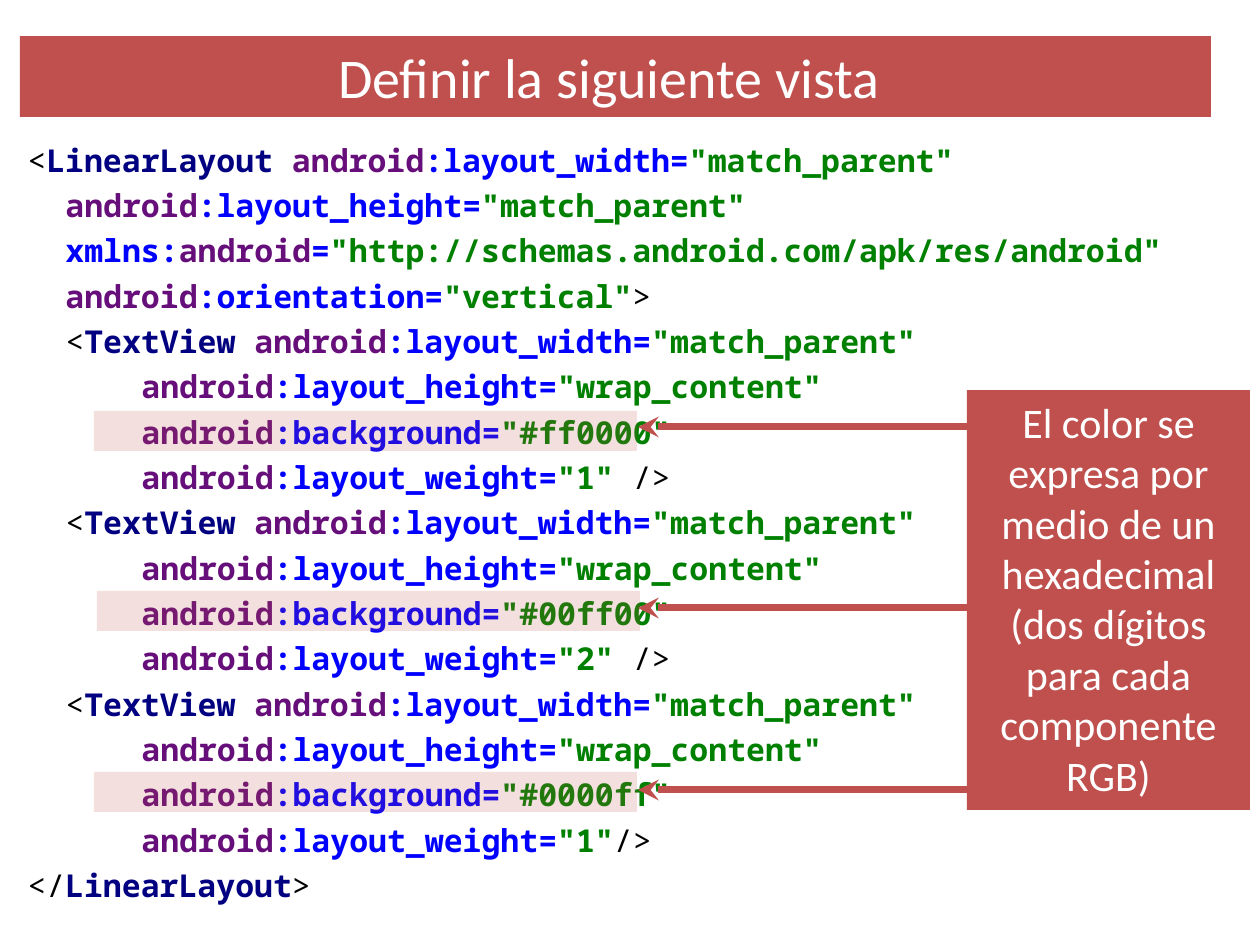
from lxml import etree
from pptx import Presentation
from pptx import util as u
from pptx.dml.color import RGBColor
from pptx.enum import shapes, text
from pptx.oxml import ns

PX = 914400 // 126
COLORS = {
    "red": "C0504D", "white": "FFFFFF", "plain": "000000", "tag": "000080",
    "prefix": "660E7A", "name": "0000FF", "value": "008000",
}

deck = Presentation()
deck.slide_width, deck.slide_height = 1260 * PX, 945 * PX
slide = deck.slides.add_slide(deck.slide_layouts[6])


def add_box(left, top, width, height, color):
    box = slide.shapes.add_shape(
        shapes.MSO_SHAPE.RECTANGLE, left * PX, top * PX, width * PX, height * PX)
    box.shadow.inherit = False
    box.fill.solid()
    box.fill.fore_color.rgb = RGBColor.from_string(COLORS[color])
    box.line.fill.background()
    box.text_frame.word_wrap = True
    box.text_frame.vertical_anchor = text.MSO_ANCHOR.TOP
    return box


def add_run(paragraph, words, size, font, color, bold=False):
    run = paragraph.add_run()
    run.text = words
    run.font.size = u.Pt(size)
    run.font.name = font
    run.font.bold = bold
    run.font.color.rgb = RGBColor.from_string(COLORS[color])


def_width = ("layout_width", "match_parent")
code_lines = [
    (0, "<", "LinearLayout ", "android", *def_width, ""),
    (2, "", "", "android", "layout_height", "match_parent", ""),
    (2, "", "", "xmlns", "android", "http://schemas.android.com/apk/res/android", ""),
    (2, "", "", "android", "orientation", "vertical", ">"),
]
views = [("#ff0000", "1", " />"), ("#00ff00", "2", " />"), ("#0000ff", "1", "/>")]
for background, weight, ending in views:
    code_lines += [
        (2, "<", "TextView ", "android", *def_width, ""),
        (6, "", "", "android", "layout_height", "wrap_content", ""),
        (6, "", "", "android", "background", background, ""),
        (6, "", "", "android", "layout_weight", weight, ending),
    ]
code_lines.append((0, "</", "LinearLayout", "", "", "", ">"))

title = add_box(20, 36, 1191, 81, "red").text_frame.paragraphs[0]
title.alignment = text.PP_ALIGN.CENTER
add_run(title, "Definir la siguiente vista ", 32, "Calibri", "white")

code = add_box(15, 125, 1245, 787, "white").text_frame
code.vertical_anchor = text.MSO_ANCHOR.MIDDLE
for number, (indent, opening, tag, prefix, name, value, ending) in enumerate(code_lines):
    line = code.add_paragraph() if number else code.paragraphs[0]
    line.alignment = text.PP_ALIGN.LEFT
    line.line_spacing = 1.2
    line._p.get_or_add_pPr().set("marL", str(indent * 19 * PX))
    parts = [(opening, "plain"), (tag, "tag")]
    if prefix == "xmlns":
        parts += [("xmlns:", "name"), (name, "prefix"), ("=", "name")]
    elif prefix:
        parts += [(prefix, "prefix"), (f":{name}=", "name")]
    if value:
        parts.append((f'"{value}"', "value"))
    parts.append((ending, "plain"))
    for words, color in parts:
        if words:
            add_run(line, words, 18, "Noto Sans Mono", color, color != "plain")

callout = add_box(967, 390, 283, 420, "red").text_frame.paragraphs[0]
callout.alignment = text.PP_ALIGN.CENTER
add_run(callout, "El color se expresa por medio de un hexadecimal "
        "(dos dígitos para cada componente RGB)", 24, "Calibri", "white")

for arrow_y in (427, 608, 790):
    arrow = slide.shapes.add_connector(
        shapes.MSO_CONNECTOR.STRAIGHT, 967 * PX, arrow_y * PX, 638 * PX, arrow_y * PX)
    arrow.line.color.rgb = RGBColor.from_string(COLORS["red"])
    arrow.line.width = u.Pt(4)
    etree.SubElement(arrow.line._get_or_add_ln(), ns.qn("a:tailEnd"), type="stealth")
    etree.SubElement(arrow._element.spPr, ns.qn("a:effectLst"))

for left, top in ((94, 411), (97, 591), (94, 772)):
    highlight = add_box(left, top, 543, 40, "red")
    tint = highlight._element.spPr.find(".//" + ns.qn("a:srgbClr"))
    etree.SubElement(tint, ns.qn("a:alpha"), val="18000")

deck.save("out.pptx")
